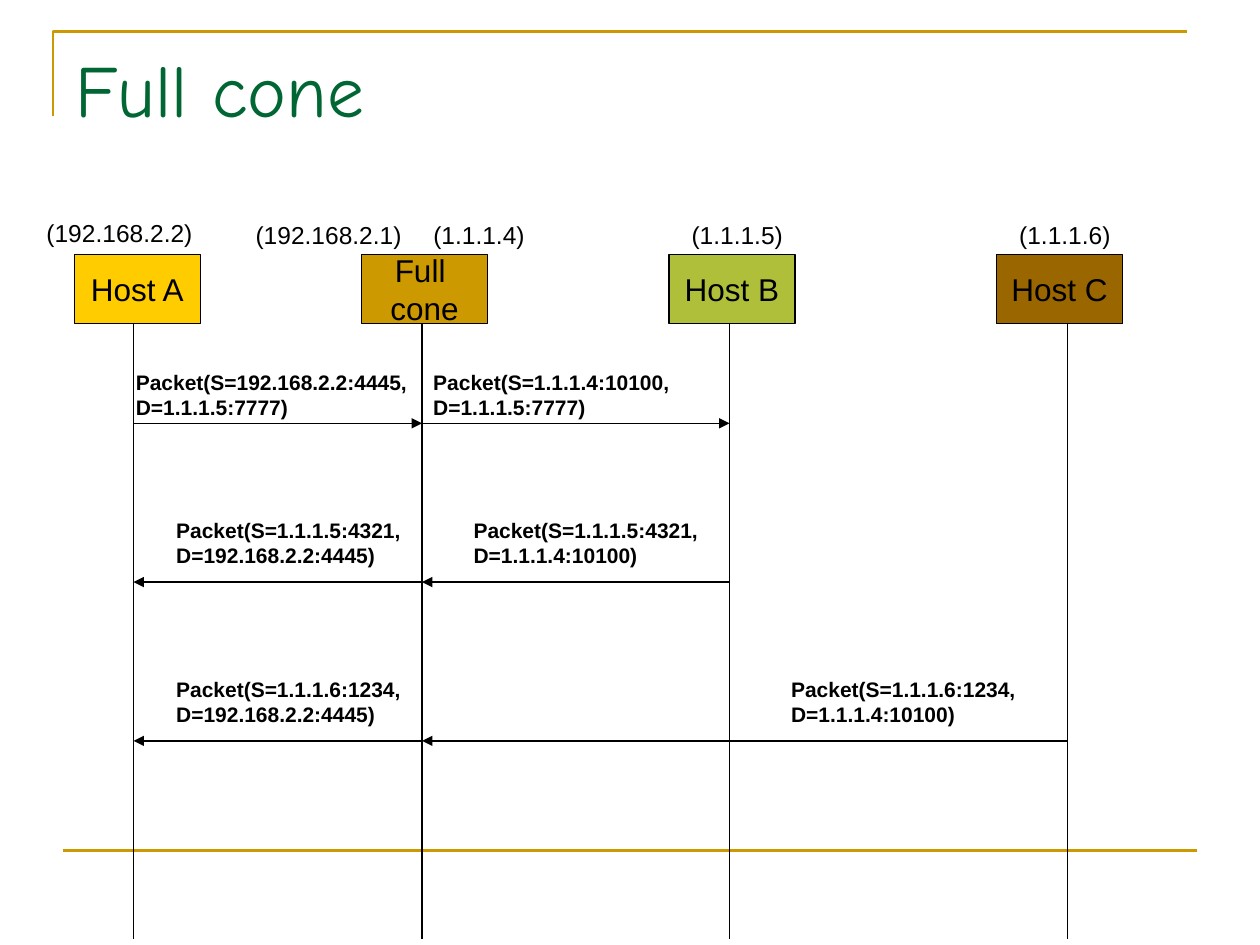
from collections import namedtuple

from lxml.etree import SubElement
from pptx import Presentation
from pptx.dml.color import RGBColor
from pptx.enum.shapes import MSO_CONNECTOR, MSO_SHAPE
from pptx.enum.text import MSO_ANCHOR, MSO_AUTO_SIZE, PP_ALIGN
from pptx.oxml.ns import qn
from pptx.util import Inches, Pt

BLACK = RGBColor(0x00, 0x00, 0x00)
GREEN = RGBColor(0x00, 0x66, 0x33)
GOLD = RGBColor(0xCC, 0x99, 0x00)
YELLOW = RGBColor(0xFF, 0xCC, 0x00)
LIME = RGBColor(0xAF, 0xBF, 0x39)
BROWN = RGBColor(0x99, 0x66, 0x00)

Box = namedtuple("Box", "left top width height")
SLIDE = Box(0, 0, 10, 7.5)
DIAGRAM = Box(0.59, 1.7, 8.32, 5.75)

# Node: name, fill, box offset and lifeline offset from the diagram's left
NODES = [
    ("Host A", YELLOW, 0, 0.47),
    ("Full \ncone", GOLD, 2.28, 2.76),
    ("Host B", LIME, 4.72, 5.2),
    ("Host C", BROWN, 7.32, 7.88),
]
A, NAT, B, C = (lifeline for _, _, _, lifeline in NODES)
NODE_W, NODE_H, NODE_TOP = 1, 0.55, 0.32

# Address: text, offset from the diagram's left and top, width
ADDRESSES = [
    ("(192.168.2.2)", -0.32, -0.02, 1.39),
    ("(192.168.2.1)", 1.34, 0, 1.39),
    ("(1.1.1.4)", 2.75, 0, 0.95),
    ("(1.1.1.5)", 4.8, 0, 0.95),
    ("(1.1.1.6)", 7.4, 0, 0.95),
]

# Message: row, sender, receiver, label offset, label width, source, destination
MESSAGES = [
    (0, A, NAT, 0.39, 2.38, "192.168.2.2:4445", "1.1.1.5:7777"),
    (0, NAT, B, 2.75, 2.1, "1.1.1.4:10100", "1.1.1.5:7777"),
    (1, B, NAT, 3.07, 2.01, "1.1.1.5:4321", "1.1.1.4:10100"),
    (1, NAT, A, 0.71, 2.01, "1.1.1.5:4321", "192.168.2.2:4445"),
    (2, C, NAT, 5.59, 2.01, "1.1.1.6:1234", "1.1.1.4:10100"),
    (2, NAT, A, 0.71, 2.01, "1.1.1.6:1234", "192.168.2.2:4445"),
]
FIRST_ROW, ROW_STEP = 1.66, 1.26
LABEL_RISE = [0.48, 0.56, 0.56]


def write(tf, text, size, color=BLACK, font="Arial", bold=False, align=PP_ALIGN.LEFT):
    tf.text = text
    for p in tf.paragraphs:
        p.alignment = align
        for r in p.runs:
            r.font.name = font
            r.font.size = Pt(size)
            r.font.bold = bold
            r.font.color.rgb = color


def add_line(slide, x1, y1, x2, y2, color=BLACK, width=0.75, arrow=False):
    line = slide.shapes.add_connector(
        MSO_CONNECTOR.STRAIGHT, Inches(x1), Inches(y1), Inches(x2), Inches(y2))
    line.line.color.rgb = color
    line.line.width = Pt(width)
    if arrow:
        SubElement(line.line._get_or_add_ln(), qn("a:tailEnd"), type="triangle")
    SubElement(line._element.spPr, qn("a:effectLst"))


def add_label(slide, text, x, y, w, h, size, bold=False):
    sp = slide.shapes.add_textbox(Inches(x), Inches(y), Inches(w), Inches(h))
    tf = sp.text_frame
    tf.word_wrap = False
    tf.auto_size = MSO_AUTO_SIZE.SHAPE_TO_FIT_TEXT
    write(tf, text, size, bold=bold)


def add_frame(slide, box):
    """Gold corner at the top and gold rule at the bottom."""
    margin = box.width * 0.05
    left, top = box.left + 0.42, box.top + 0.25
    span = box.width - 2 * margin
    fb = slide.shapes.build_freeform(Inches(left), Inches(top + 0.67))
    fb.add_line_segments(
        [(Inches(left), Inches(top)), (Inches(left + span), Inches(top))], close=False)
    sp = fb.convert_to_shape()
    sp.shadow.inherit = False
    sp.fill.background()
    sp.line.color.rgb = GOLD
    sp.line.width = Pt(1.5)
    rule = box.top + box.height * 0.9
    add_line(slide, box.left + margin, rule, box.left + margin + span, rule, GOLD, 1.5)


def add_title(slide, box):
    title = slide.shapes.title
    title.left, title.top = Inches(box.left + box.width * 0.05), Inches(box.top + box.height * 0.04)
    title.width, title.height = Inches(box.width * 0.9), Inches(1.25)
    tf = title.text_frame
    tf.auto_size = MSO_AUTO_SIZE.NONE
    tf.vertical_anchor = MSO_ANCHOR.TOP
    write(tf, "Full cone", 42, GREEN, "Comic Neue")


def add_nodes(slide, box):
    """Node boxes, their lifelines and the addresses above them."""
    top = box.top + NODE_TOP
    for name, fill, x, lifeline in NODES:
        sp = slide.shapes.add_shape(
            MSO_SHAPE.RECTANGLE, Inches(box.left + x), Inches(top),
            Inches(NODE_W), Inches(NODE_H))
        sp.shadow.inherit = False
        sp.fill.solid()
        sp.fill.fore_color.rgb = fill
        sp.line.color.rgb = BLACK
        sp.line.width = Pt(0.75)
        tf = sp.text_frame
        tf.word_wrap = False
        tf.vertical_anchor = MSO_ANCHOR.MIDDLE
        write(tf, name, 18, align=PP_ALIGN.CENTER)
        x = box.left + lifeline
        add_line(slide, x, top + NODE_H, x, box.top + box.height)
    for text, x, y, w in ADDRESSES:
        add_label(slide, text, box.left + x, box.top + y, w, 0.34, 14)


def add_messages(slide, box):
    """Packet arrows between lifelines, each with its label."""
    for row, sender, receiver, x, w, source, target in MESSAGES:
        y = box.top + FIRST_ROW + row * ROW_STEP
        add_line(slide, box.left + sender, y, box.left + receiver, y, arrow=True)
        add_label(slide, f"Packet(S={source},\nD={target})", box.left + x,
                  y - LABEL_RISE[row], w, 0.5, 12, bold=True)


def main():
    prs = Presentation()
    prs.slide_width, prs.slide_height = Inches(SLIDE.width), Inches(SLIDE.height)
    slide = prs.slides.add_slide(prs.slide_layouts[5])
    add_frame(slide, SLIDE)
    add_title(slide, SLIDE)
    add_nodes(slide, DIAGRAM)
    add_messages(slide, DIAGRAM)
    prs.save("out.pptx")


if __name__ == "__main__":
    main()
